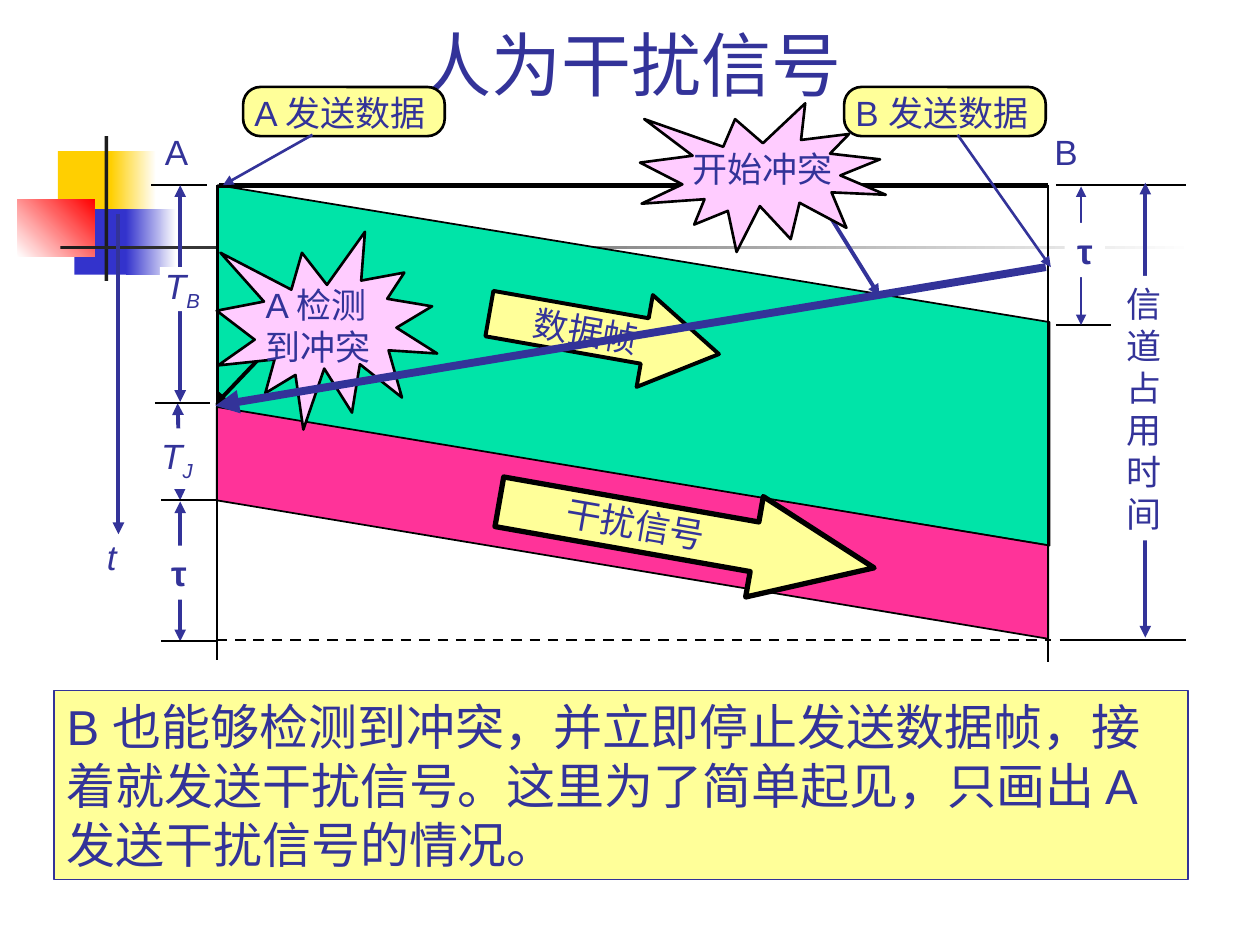
"""Draw a timing chart of the jamming signal sent after a collision."""
from dataclasses import dataclass

from lxml import etree
from pptx import Presentation
from pptx.dml.color import RGBColor
from pptx.enum.dml import MSO_LINE
from pptx.enum.shapes import MSO_CONNECTOR, MSO_SHAPE
from pptx.enum.text import MSO_ANCHOR, MSO_AUTO_SIZE, PP_ALIGN
from pptx.oxml.ns import qn
from pptx.util import Inches, Pt

RECT, ROUND = MSO_SHAPE.RECTANGLE, MSO_SHAPE.ROUNDED_RECTANGLE
BAND, ARROW = MSO_SHAPE.PARALLELOGRAM, MSO_SHAPE.RIGHT_ARROW
BURST = MSO_SHAPE.EXPLOSION1
STRAIGHT, DASH = MSO_CONNECTOR.STRAIGHT, MSO_LINE.DASH
TOP, MIDDLE, BOTTOM = MSO_ANCHOR.TOP, MSO_ANCHOR.MIDDLE, MSO_ANCHOR.BOTTOM
LEFT, CENTER = PP_ALIGN.LEFT, PP_ALIGN.CENTER
FIT, FIXED = MSO_AUTO_SIZE.SHAPE_TO_FIT_TEXT, MSO_AUTO_SIZE.NONE

COLS, ROWS = 100, 75
CELL = Inches(0.1)
FONT = "Arial"
COLORS = {
    "ink": "333399", "black": "000000", "white": "FFFFFF", "dark": "1C1C1C",
    "gold": "FFCF01", "blue": "3333CC", "red": "FF0000", "green": "00E4A8",
    "rose": "FF3399", "cream": "FFFF99", "pink": "FFCCFF",
}
SIDE_A, SIDE_B = 17.2, 83.2
START, SEEN, JAM, END = 14.7, 32, 39.7, 50.8


@dataclass
class Box:
    at: tuple[float, float, float, float]
    fill: str = ""
    text: str = ""
    kind: MSO_SHAPE = RECT
    fade: str = ""
    slant: float = 0
    edge: str = "black"
    width: float = 0
    turn: float = 0
    tune: tuple[float, ...] = ()
    size: float = 20
    bold: bool = False
    tilt: bool = False
    wrap: bool = False
    anchor: MSO_ANCHOR = TOP
    align: PP_ALIGN = LEFT


@dataclass
class Line:
    start: tuple[float, float]
    end: tuple[float, float]
    color: str = "black"
    width: float = 1
    tips: str = ""
    dash: bool = False


def span(x: float, top: float, low: float, width: float = 2.25) -> Line:
    """Return a time span with a tip at both ends."""
    return Line((x, top), (x, low), "ink", width, "head tail")


def tick(x: float, y: float, length: float = 4.4) -> Line:
    """Return a level mark."""
    return Line((x, y), (x + length, y))


def point(start: tuple, end: tuple, color: str = "ink", width: float = 2.25) -> Line:
    """Return a line with a tip at its end."""
    return Line(start, end, color, width, "tail")


def sender(x: float, name: str) -> list[Box]:
    """Return the tag of a sending station."""
    return [Box((x, 6.9, 16, 3.9), "cream", kind=ROUND, width=1.5, tune=(0.354,)),
            Box((x - 0.1, 6.8, 16.4, 4.4), text=f"{name} 发送数据")]


DECOR = [
    Box((4.6, 12, 4.8, 5.2), "gold"),
    Box((8.8, 12, 3.6, 5.2), "gold", fade="white"),
    Box((5.9, 16.6, 4.6, 5.2), "blue"),
    Box((10, 16.6, 4, 5.2), "blue", fade="white"),
    Box((1.4, 15.8, 6.1, 4.6), "white", fade="red", slant=45),
    Box((8.3, 10.8, 0.3, 11.5), "dark"),
    Box((4.8, 19.5, 90, 0.3), "dark", fade="white"),
]
BANDS = [
    Box((36, -4, 28.6, 66), "green", kind=BAND, width=1, turn=90, tune=(0.38,)),
    Box((38.7, 22.8, 18.5, 7.4), "cream", "数据帧", ARROW, width=2.25, turn=10,
        tune=(0.494, 0.808), anchor=MIDDLE, align=CENTER),
    Box((41, 8.5, 18.4, 66), "rose", kind=BAND, width=1, turn=90, tune=(0.597,)),
    Box((39.4, 38.4, 30.2, 8.1), "cream", kind=ARROW, width=3, turn=10,
        tune=(0.494, 1.19)),
    Box((43.9, 39.4, 13.1, 4.4), text="干扰信号", turn=9.9),
]
SCALES = [
    span(14.3, 39.8, 50.9), Line((14.1, SEEN), (14.3, JAM), "ink", 2.25, "head tail"),
    Box((12.6, 43.3, 3.2, 4.3), "white", "τ", bold=True),
    tick(12.8, JAM), tick(12.8, 50.9),
    Box((11.8, 34, 4.5, 4.8), "white", "T_J", tilt=True),
    Line((17.4, START), (SIDE_B, START), width=3),
    Line((SIDE_A, START), (SIDE_A, 52.4)), Line((SIDE_B, START), (SIDE_B, 52.5)),
    tick(83.8, START, 10.3), tick(83.8, 25.8), span(85.8, 14.8, 25.8, 1.5),
    Box((12.1, 9.9, 3.8, 4.3), text="A"), Box((82.7, 9.9, 3.8, 4.3), text="B"),
    point((9.4, 17), (9.4, 42.4)),
    tick(12.3, SEEN), tick(12, START), span(14.3, START, 31.9),
    Box((12.7, 21.2, 3.7, 3.5), "white"),
    Box((12.1, 20.5, 4.8, 4.8), text="T_B", tilt=True),
    Box((7.5, 42, 2.7, 4.4), text="t", tilt=True),
    Line((SIDE_A, END), (83.4, END), width=1.5, dash=True),
    Box((84.5, 17.7, 3.2, 4.3), "white", "τ", bold=True),
]
EVENTS = [
    *sender(67, "B"), point((76, 10.7), (83.4, 21.2), width=1.5),
    point((23.1, 25.8), (17.1, 32.1), "black"),
    Box((17.2, 18.4, 17.5, 15.7), "pink", kind=BURST, width=1.5),
    Box((20.1, 22, 10.8, 7.7), text="A 检测\n到冲突"),
    point((65.7, 16.9), (69.8, 23.5)),
    Box((50.8, 8.2, 19.5, 11.8), "pink", kind=BURST, width=1.5),
    Box((54, 11.2, 13.1, 4.4), text="开始冲突"),
    tick(84.1, END, 10), span(90.9, 14.5, 50.6),
    Box((88.4, 21.9, 4.8, 21), "white", "\n".join("信道占用时间")),
    *sender(19.3, "A"), point((24.8, 10.7), (17.7, START), width=1.5),
    point((83, 21.2), (17.1, 32.2), width=4.5),
]
TITLE = Box((7.5, 1.3, 85.2, 7.6), text="人为干扰信号", size=40, wrap=True,
            anchor=BOTTOM, align=CENTER)
NOTE = Box((4.3, 54.8, 90, 15), "cream", "B 也能够检测到冲突，并立即停止发送数据帧，"
           "接着就发送干扰信号。这里为了简单起见，只画出 A 发送干扰信号的情况。",
           edge="ink", width=0.75, size=28, wrap=True)


def tint(name: str) -> RGBColor:
    """Return a named colour."""
    return RGBColor.from_string(COLORS[name])


def grid(*cells: float) -> list[int]:
    """Turn grid cells into lengths."""
    return [round(cell * CELL) for cell in cells]


def write(frame, box: Box) -> None:
    """Put the text of a box in its frame, with any part after _ set low."""
    frame.text = box.text
    frame.word_wrap = box.wrap
    frame.auto_size = FIT if box.anchor == TOP and not box.wrap else FIXED
    frame.vertical_anchor = box.anchor
    for para in frame.paragraphs:
        base, _, low = para.text.partition("_")
        para.text = base
        para.alignment = box.align
        if low:
            sub = para.add_run()
            sub.text = low
            sub.font._element.set("baseline", "-25000")
        for run in para.runs:
            font = run.font
            font.name, font.size = FONT, Pt(box.size)
            font.bold, font.italic = box.bold, box.tilt
            font.color.rgb = tint("ink")


def draw_box(shapes, box: Box) -> None:
    """Draw a shape, or a text box if it has no fill."""
    if not box.fill:
        shape = shapes.add_textbox(*grid(*box.at))
    else:
        shape = shapes.add_shape(box.kind, *grid(*box.at))
        shape.shadow.inherit = False
        for index, value in enumerate(box.tune):
            shape.adjustments[index] = value
        if box.fade:
            shape.fill.gradient()
            shape.fill.gradient_angle = box.slant
            for stop, name in zip(shape.fill.gradient_stops, (box.fill, box.fade)):
                stop.color.rgb = tint(name)
        else:
            shape.fill.solid()
            shape.fill.fore_color.rgb = tint(box.fill)
        if box.width:
            shape.line.color.rgb = tint(box.edge)
            shape.line.width = Pt(box.width)
        else:
            shape.line.fill.background()
    shape.rotation = box.turn
    if box.text:
        write(shape.text_frame, box)


def draw_line(shapes, line: Line) -> None:
    """Draw a line with its tips."""
    link = shapes.add_connector(STRAIGHT, *grid(*line.start, *line.end))
    link.line.color.rgb = tint(line.color)
    link.line.width = Pt(line.width)
    if line.dash:
        link.line.dash_style = DASH
    for tip in line.tips.split():
        etree.SubElement(link.line._get_or_add_ln(), qn(f"a:{tip}End"), type="triangle")
    etree.SubElement(link._element.spPr, qn("a:effectLst"))


def main() -> None:
    """Build and save the slide."""
    deck = Presentation()
    deck.slide_width, deck.slide_height = grid(COLS, ROWS)
    shapes = deck.slides.add_slide(deck.slide_layouts[6]).shapes
    whites = [Box((13, 43.3, 3.2, 3.3), "white"), Box((13.3, 34.1, 2.3, 3.1), "white")]
    for item in [*DECOR, *whites, *BANDS, TITLE, *SCALES, *EVENTS, NOTE]:
        if isinstance(item, Box):
            draw_box(shapes, item)
        else:
            draw_line(shapes, item)
    deck.save("out.pptx")


if __name__ == "__main__":
    main()
